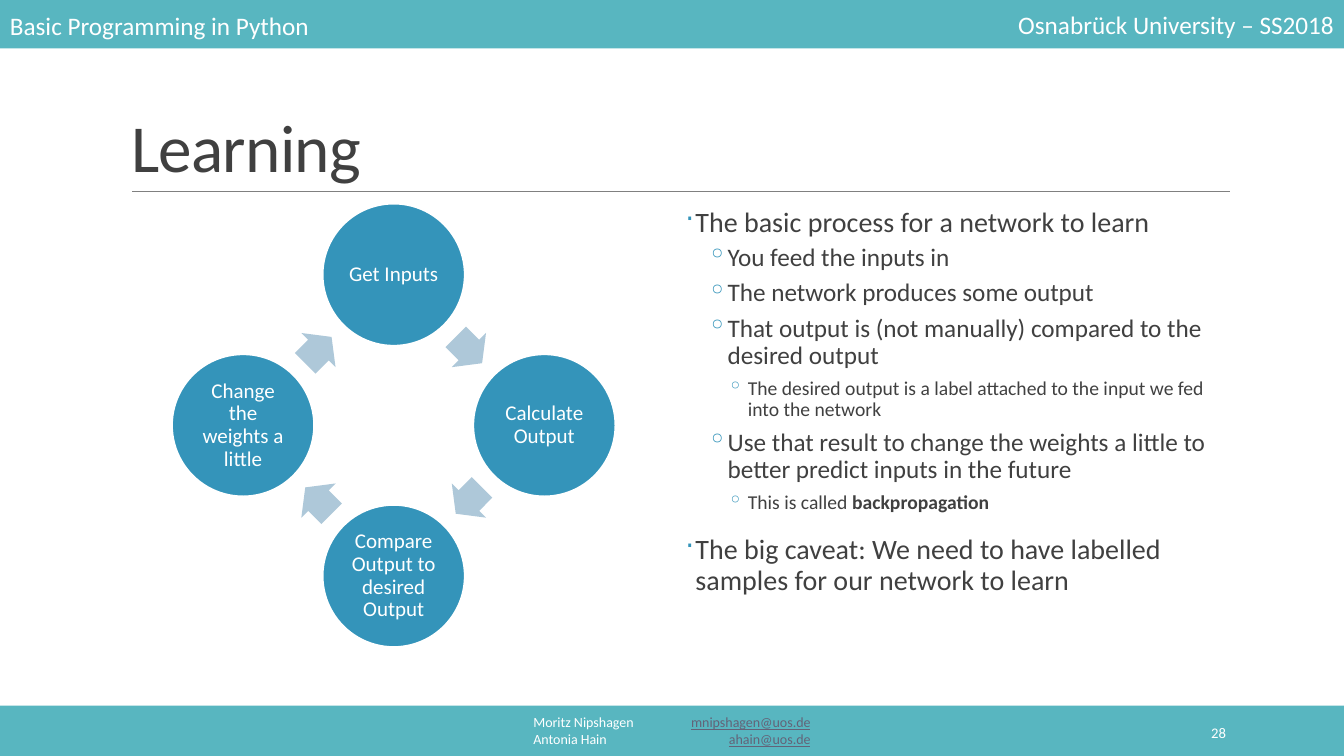
import math

from lxml import etree
from pptx import Presentation
from pptx.dml.color import RGBColor
from pptx.enum.shapes import MSO_CONNECTOR, MSO_SHAPE
from pptx.enum.text import MSO_ANCHOR, PP_ALIGN
from pptx.oxml.ns import qn
from pptx.util import Pt

LEFT, CENTER, RIGHT = PP_ALIGN.LEFT, PP_ALIGN.CENTER, PP_ALIGN.RIGHT
TOP, MIDDLE, BOTTOM = MSO_ANCHOR.TOP, MSO_ANCHOR.MIDDLE, MSO_ANCHOR.BOTTOM
RECTANGLE, OVAL, RIGHT_ARROW = MSO_SHAPE.RECTANGLE, MSO_SHAPE.OVAL, MSO_SHAPE.RIGHT_ARROW
STRAIGHT = MSO_CONNECTOR.STRAIGHT

COURSE = "Basic Programming in Python"
TERM = "Osnabrück University – SS2018"
TITLE = "Learning"
PAGE = "28"
AUTHORS = [("Moritz Nipshagen", "mnipshagen@uos.de"), ("Antonia Hain", "ahain@uos.de")]
CYCLE = ["Get Inputs", "Calculate Output", "Compare Output to desired Output",
         "Change the weights a little"]
POINTS = [
    (0, [("The basic process for a network to learn", {})]),
    (1, [("You feed the inputs in", {})]),
    (1, [("The network produces some output", {})]),
    (1, [("That output is (not manually) compared to the desired output", {})]),
    (2, [("The desired output is a label attached to the input we fed into the network", {})]),
    (1, [("Use that result to change the weights a little to better predict inputs in the future", {})]),
    (2, [("This is called ", {}), ("backpropagation", {"bold": True})]),
    (0, [("The big caveat: We need to have labelled samples for our network to learn", {})]),
]

THEME = {
    "font": "Calibri",
    "white": "FFFFFF", "ink": "404040", "band": "58B6C0", "rule": "808080",
    "circle": "3494BA", "arrow": "AEC8D9", "link": "636378",
    "title": 48, "header": 18, "cycle": 15, "footer": 10, "page": 10.5,
}
LEVELS = [
    {"size": 20, "bullet": "·", "margin": 7.2, "hang": 7.2, "before": 12, "after": 2},
    {"size": 18, "bullet": "◦", "margin": 30.2, "hang": 14.4, "before": 2, "after": 4},
    {"size": 14, "bullet": "◦", "margin": 44.6, "hang": 14.4, "before": 2, "after": 4},
]

WIDTH, HEIGHT = 960, 540
HEADER_HEIGHT, FOOTER_HEIGHT = 34.6, 36
HEADING_WIDTH, HEADING_HEIGHT = 379.4, 28.8
RING_X, RING_Y, RING_RADIUS = 281.2, 303.8, 107.6
CIRCLE_SIZE = 101.5
ARROW_RADIUS, ARROW_WIDTH, ARROW_HEIGHT = 76, 26.6, 34.6

prs = Presentation()
prs.slide_width, prs.slide_height = Pt(WIDTH), Pt(HEIGHT)
slide = prs.slides.add_slide(prs.slide_layouts[6])


def color(key):
    return RGBColor.from_string(THEME[key])


def write(holder, lines, size=18, ink="white", align=LEFT, anchor=MIDDLE,
          insets=(7.2, 3.6, 7.2, 3.6), spacing=None, tracking=None, tab=None, levels=None):
    frame = holder.text_frame
    frame.word_wrap = True
    frame.vertical_anchor = anchor
    frame.margin_left, frame.margin_top, frame.margin_right, frame.margin_bottom = map(Pt, insets)
    for i, line in enumerate(lines):
        paragraph = frame.paragraphs[0] if i == 0 else frame.add_paragraph()
        line_size = size
        if levels:
            level = LEVELS[levels[i]]
            line_size = level["size"]
            pPr = paragraph._p.get_or_add_pPr()
            pPr.set("marL", str(Pt(level["margin"])))
            pPr.set("indent", str(-Pt(level["hang"])))
            bullet_color = etree.SubElement(pPr, qn("a:buClr"))
            etree.SubElement(bullet_color, qn("a:srgbClr"), val=THEME["circle"])
            etree.SubElement(pPr, qn("a:buChar"), char=level["bullet"])
            paragraph.level = levels[i]
            paragraph.space_before = Pt(level["before"] if i else 0)
            paragraph.space_after = Pt(level["after"])
        if tab:
            stops = etree.SubElement(paragraph._p.get_or_add_pPr(), qn("a:tabLst"))
            etree.SubElement(stops, qn("a:tab"), pos=str(Pt(tab)), algn="r")
        paragraph.alignment = align
        if spacing:
            paragraph.line_spacing = spacing
        for text, style in [(line, {})] if isinstance(line, str) else line:
            run = paragraph.add_run()
            run.text = text
            run.font.name = THEME["font"]
            run.font.size = Pt(line_size)
            run.font.color.rgb = color(style.get("ink", ink))
            run.font.bold = style.get("bold")
            run.font.underline = style.get("underline")
            if tracking:
                run._r.get_or_add_rPr().set("spc", str(tracking))


def text_box(left, top, width, height, lines, **style):
    box = slide.shapes.add_textbox(Pt(left), Pt(top), Pt(width), Pt(height))
    write(box, lines, **style)


def solid(kind, left, top, width, height, fill, outline=None):
    shape = slide.shapes.add_shape(kind, Pt(left), Pt(top), Pt(width), Pt(height))
    shape.shadow.inherit = False
    shape.fill.solid()
    shape.fill.fore_color.rgb = color(fill)
    if outline:
        shape.line.color.rgb = color(outline)
        shape.line.width = Pt(1.25)
    else:
        shape.line.fill.background()
    return shape


def on_ring(angle, radius, width, height):
    turn = math.radians(angle)
    return (RING_X + radius * math.sin(turn) - width / 2,
            RING_Y - radius * math.cos(turn) - height / 2, width, height)


title_rule = slide.shapes.add_connector(STRAIGHT, Pt(94.4), Pt(136.8), Pt(878.8), Pt(136.8))
title_rule.line.color.rgb = color("rule")
title_rule.line.width = Pt(0.5)
etree.SubElement(title_rule._element.spPr, qn("a:effectLst"))

solid(RECTANGLE, 0, HEIGHT - FOOTER_HEIGHT, WIDTH, FOOTER_HEIGHT, "band")
solid(RECTANGLE, 0, 0, WIDTH, HEADER_HEIGHT, "band")
text_box(0, 3.8, HEADING_WIDTH, HEADING_HEIGHT, [COURSE], size=THEME["header"])
text_box(WIDTH - HEADING_WIDTH, 2.8, HEADING_WIDTH, HEADING_HEIGHT, [TERM],
         size=THEME["header"], align=RIGHT)
text_box((WIDTH - HEADING_WIDTH) / 2, 507.6, HEADING_WIDTH, HEADING_HEIGHT,
         [[(name + "\t", {}), (mail, {"ink": "link", "underline": True})] for name, mail in AUTHORS],
         size=THEME["footer"], align=CENTER, tab=198)
text_box(779.8, 508.6, 103, HEADING_HEIGHT, [PAGE], size=THEME["page"], align=RIGHT)
text_box(86.6, 77.8, 792, 59, [TITLE], size=THEME["title"], ink="ink", anchor=BOTTOM,
         spacing=0.85, tracking=-50)

step = 360 / len(CYCLE)
for i, stage in enumerate(CYCLE):
    circle = solid(OVAL, *on_ring(i * step, RING_RADIUS, CIRCLE_SIZE, CIRCLE_SIZE),
                   "circle", "white")
    write(circle, [stage], size=THEME["cycle"], align=CENTER, insets=(1.5,) * 4, spacing=0.9)
    midway = (i + 0.5) * step
    arrow = solid(RIGHT_ARROW, *on_ring(midway, ARROW_RADIUS, ARROW_WIDTH, ARROW_HEIGHT), "arrow")
    arrow.adjustments[0], arrow.adjustments[1] = 0.6, 0.5
    arrow.rotation = midway

text_box(489.6, 145.4, 388.8, 316.8, [runs for _, runs in POINTS], ink="ink", anchor=TOP,
         insets=(0, 3.6, 0, 3.6), spacing=0.9, levels=[level for level, _ in POINTS])

prs.save("out.pptx")
